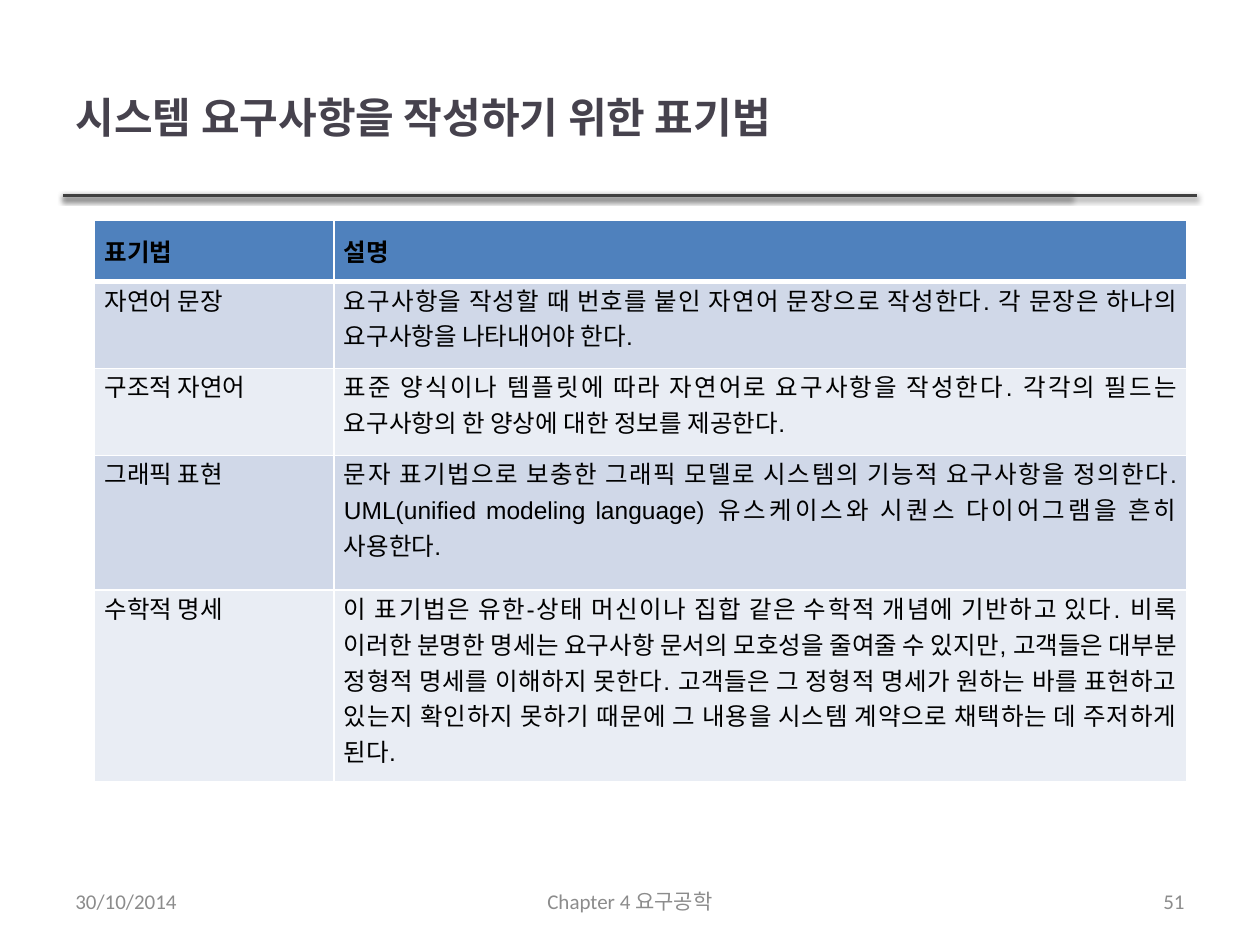
from dataclasses import dataclass

from lxml import etree
from pptx import Presentation
from pptx import util as u
from pptx.dml.color import RGBColor
from pptx.enum import shapes, text
from pptx.oxml import ns


@dataclass(frozen=True)
class Theme:
    title: str = "46424D"
    rule: str = "404040"
    ink: str = "000000"
    muted: str = "8C8C8C"
    border: str = "FFFFFF"
    header: str = "4F81BD"
    bands: tuple = ("D0D8E8", "E9EDF4")
    body_font: str = "Arial"
    footer_font: str = "Calibri"
    title_size: int = 24
    body_size: int = 14
    footer_size: int = 12


THEME = Theme()
WIDTH, HEIGHT = 10, 7.5
MARGIN = WIDTH * 0.05
LEFT, CENTER = text.PP_ALIGN.LEFT, text.PP_ALIGN.CENTER
RIGHT, JUSTIFY = text.PP_ALIGN.RIGHT, text.PP_ALIGN.JUSTIFY

ROWS = [
    ("표기법", "설명"),
    ("자연어 문장", "요구사항을 작성할 때 번호를 붙인 자연어 문장으로 작성한다. "
     "각 문장은 하나의 요구사항을 나타내어야 한다."),
    ("구조적 자연어", "표준 양식이나 템플릿에 따라 자연어로 요구사항을 작성한다. "
     "각각의 필드는 요구사항의 한 양상에 대한 정보를 제공한다."),
    ("그래픽 표현", "문자 표기법으로 보충한 그래픽 모델로 시스템의 기능적 요구사항을 정의한다. "
     "UML(unified modeling language) 유스케이스와 시퀀스 다이어그램을 흔히 사용한다."),
    ("수학적 명세", "이 표기법은 유한-상태 머신이나 집합 같은 수학적 개념에 기반하고 있다. "
     "비록 이러한 분명한 명세는 요구사항 문서의 모호성을 줄여줄 수 있지만, "
     "고객들은 대부분 정형적 명세를 이해하지 못한다. "
     "고객들은 그 정형적 명세가 원하는 바를 표현하고 있는지 확인하지 못하기 때문에 "
     "그 내용을 시스템 계약으로 채택하는 데 주저하게 된다."),
]
COLUMN_WIDTHS = (1.9, 6.77)
ROW_HEIGHTS = (0.47, 0.69, 0.69, 1.07, 1.52)


def write(frame, content, *, size=THEME.body_size, font=THEME.body_font,
          color=THEME.ink, bold=False, align=LEFT):
    paragraph = frame.paragraphs[0]
    paragraph.alignment = align
    run = paragraph.add_run()
    run.text = content
    run.font.size = u.Pt(size)
    run.font.name = font
    run.font.bold = bold
    run.font.color.rgb = RGBColor.from_string(color)


def add_node(parent, tag, **attributes):
    values = {name: str(value) for name, value in attributes.items()}
    return etree.SubElement(parent, ns.qn(tag), values)


def add_rule(slide, left, top, width):
    line = slide.shapes.add_connector(
        shapes.MSO_CONNECTOR.STRAIGHT, u.Inches(left), u.Inches(top),
        u.Inches(left + width), u.Inches(top))
    line.line.color.rgb = RGBColor.from_string(THEME.rule)
    line.line.width = u.Pt(2)
    effects = add_node(line._element.spPr, "a:effectLst")
    shadow = add_node(effects, "a:outerShdw", blurRad=u.Pt(3.1), dist=u.Pt(1.6),
                      dir=90 * 60000, rotWithShape=0)
    color = add_node(shadow, "a:srgbClr", val=THEME.ink)
    add_node(color, "a:alpha", val=38000)


def add_title(slide, left, top, width, height):
    for share in (8 / 9, 1):
        add_rule(slide, left, top + height, (WIDTH - 2 * MARGIN) * share)
    title = slide.shapes.title
    title.left, title.top = u.Inches(left), u.Inches(top)
    title.width, title.height = u.Inches(width), u.Inches(height)
    title.text_frame.vertical_anchor = text.MSO_ANCHOR.MIDDLE
    write(title.text_frame, "시스템 요구사항을 작성하기 위한 표기법",
          size=THEME.title_size, color=THEME.title, bold=True)


def format_cell(cell, row):
    cell.margin_left = cell.margin_right = u.Inches(0.08)
    cell.margin_top = u.Inches(0 if row else 0.1)
    cell.margin_bottom = u.Inches(0.1)
    properties = cell._tc.get_or_add_tcPr()
    thick_sides = {0: "B", 1: "T"}
    for side in "LRTB":
        weight = 3 if thick_sides.get(row) == side else 1
        border = add_node(properties, f"a:ln{side}", w=u.Pt(weight))
        add_node(add_node(border, "a:solidFill"), "a:srgbClr", val=THEME.border)
    fill = THEME.bands[(row - 1) % 2] if row else THEME.header
    cell.fill.solid()
    cell.fill.fore_color.rgb = RGBColor.from_string(fill)


def add_notation_table(slide, left, top):
    table = slide.shapes.add_table(
        len(ROWS), len(COLUMN_WIDTHS), u.Inches(left), u.Inches(top),
        u.Inches(sum(COLUMN_WIDTHS)), u.Inches(sum(ROW_HEIGHTS))).table
    for column, width in zip(table.columns, COLUMN_WIDTHS):
        column.width = u.Inches(width)
    for row, (contents, height) in enumerate(zip(ROWS, ROW_HEIGHTS)):
        table.rows[row].height = u.Inches(height)
        for column, content in enumerate(contents):
            cell = table.cell(row, column)
            format_cell(cell, row)
            write(cell.text_frame, content, bold=row == 0,
                  align=JUSTIFY if row or column else LEFT)


def add_footer(slide, left, top, width, height):
    side, middle = 2.33, 3.17
    parts = (
        ("30/10/2014", left, side, LEFT),
        ("Chapter 4 요구공학", left + (width - middle) / 2, middle, CENTER),
        ("51", left + width - side, side, RIGHT),
    )
    for content, start, span, align in parts:
        box = slide.shapes.add_textbox(u.Inches(start), u.Inches(top),
                                       u.Inches(span), u.Inches(height))
        box.text_frame.word_wrap = True
        box.text_frame.vertical_anchor = text.MSO_ANCHOR.MIDDLE
        write(box.text_frame, content, size=THEME.footer_size,
              font=THEME.footer_font, color=THEME.muted, align=align)


def main():
    presentation = Presentation()
    presentation.slide_width = u.Inches(WIDTH)
    presentation.slide_height = u.Inches(HEIGHT)
    slide = presentation.slides.add_slide(
        presentation.slide_layouts.get_by_name("Title Only"))
    add_title(slide, MARGIN, HEIGHT * 0.04, WIDTH * 0.8, 1.25)
    add_notation_table(slide, WIDTH * 0.075, 1.75)
    add_footer(slide, MARGIN, 6.95, WIDTH - 2 * MARGIN, 0.4)
    presentation.save("out.pptx")


if __name__ == "__main__":
    main()
